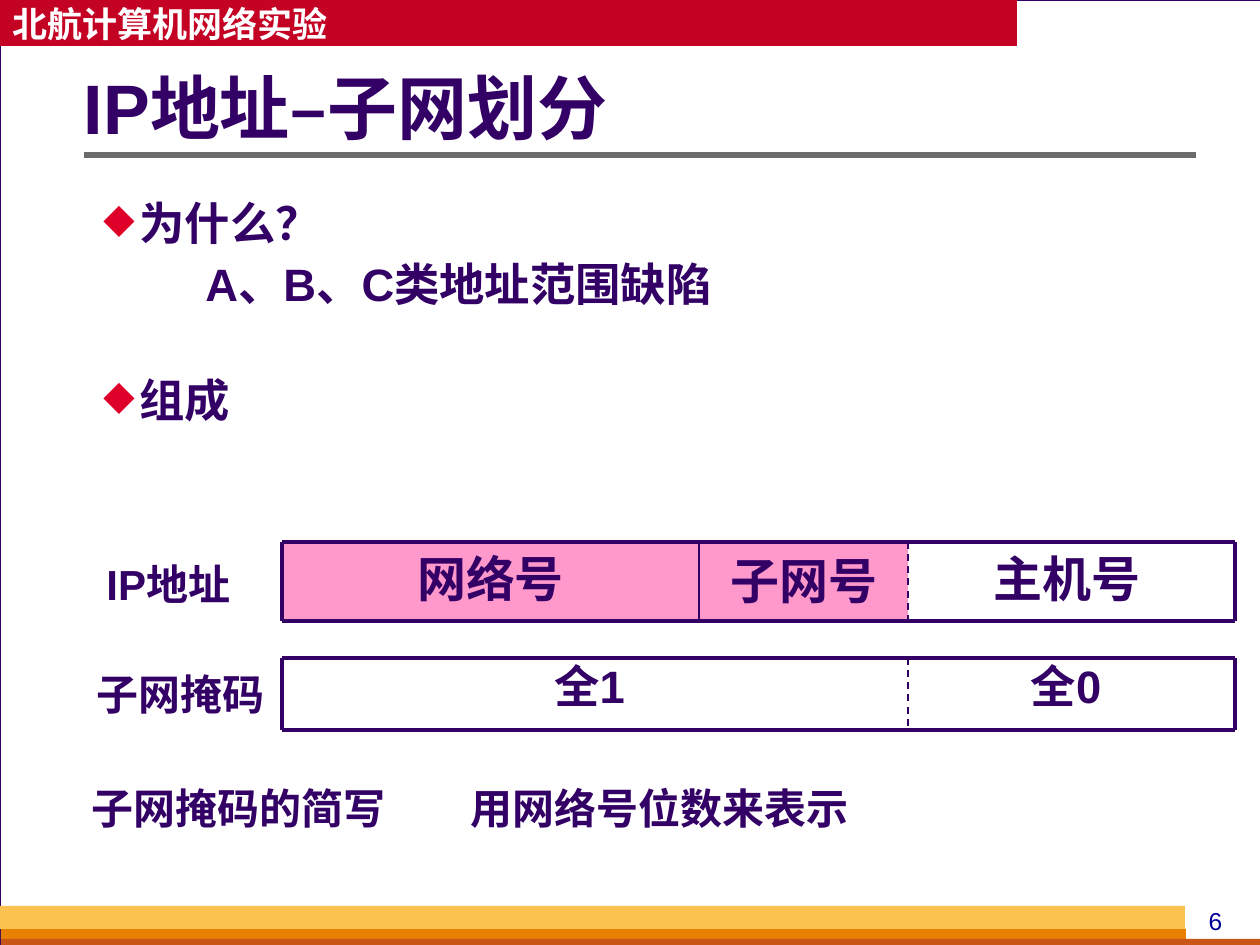
import pptx
import pptx.util
import pptx.dml.color
import pptx.enum.dml
import pptx.enum.shapes
import pptx.enum.text
import pptx.oxml
import pptx.oxml.ns
import lxml.etree


class Theme:
    ink, red, pink, white = "330066", "C30224", "FF99CC", "FFFFFF"
    mark, gray, blue, back = "DF0029", "6B6B6B", "000099", "D8DADA"
    gold, amber, rust = "FCC24F", "E88000", "C95616"
    title, cell, body, label, head, page = 40, 28, 25.9, 24, 20, 14
    latin, asian = "Arial", "Noto Sans CJK SC"


px = 914400 / 126
qn = pptx.oxml.ns.qn
rgb = pptx.dml.color.RGBColor.from_string
align = pptx.enum.text.PP_ALIGN
mid = pptx.enum.text.MSO_ANCHOR.MIDDLE
rect = pptx.enum.shapes.MSO_SHAPE.RECTANGLE
dash = pptx.enum.dml.MSO_LINE.DASH


def emu(*vals):
    return [round(v * px) for v in vals]


def write(para, words, size, color=Theme.ink, bold=True, side=None, lead=None):
    para.alignment = side
    para.line_spacing = lead
    run = para.add_run()
    run.text = words
    font = run.font
    font.size = pptx.util.Pt(size)
    font.bold = bold
    font.color.rgb = rgb(color)
    font.name = Theme.latin
    face = lxml.etree.SubElement(run._r.get_or_add_rPr(), qn("a:ea"))
    face.set("typeface", Theme.asian)


deck = pptx.Presentation()
deck.slide_width, deck.slide_height = emu(1260, 945)
slide = deck.slides.add_slide(deck.slide_layouts[5])
slide.background.fill.solid()
slide.background.fill.fore_color.rgb = rgb(Theme.back)
shapes = slide.shapes

blocks = [
    (0, 0, 1261, 945, Theme.white, "", 0),
    (0, 0, 1017, 46, Theme.red, "北航计算机网络实验", Theme.head),
    (1, 929, 1185, 10, Theme.amber, "", 0),
    (1, 939, 1260, 10, Theme.rust, "", 0),
    (0, 906, 1185, 23, Theme.gold, "", 0),
    (282, 542, 417, 79, Theme.pink, "网络号", Theme.cell),
    (700, 544, 208, 77, Theme.pink, "子网号", Theme.cell),
]
for x, y, w, h, fill, words, size in blocks:
    box = shapes.add_shape(rect, *emu(x, y, w, h))
    box.shadow.inherit = False
    box.fill.solid()
    box.fill.fore_color.rgb = rgb(fill)
    if fill == Theme.white:
        box.line.color.rgb = rgb(Theme.ink)
        box.line.width = pptx.util.Pt(0.75)
    else:
        box.line.fill.background()
    frame = box.text_frame
    para = frame.paragraphs[0]
    if fill == Theme.red:
        frame.word_wrap = False
        frame.vertical_anchor = mid
        write(para, words, size, Theme.white, side=align.LEFT)
    elif words:
        frame.vertical_anchor = pptx.enum.text.MSO_ANCHOR.TOP
        write(para, words, size, side=align.CENTER)

lines = [(84, 155, 1196, 155, Theme.gray, 3, None)]
for top, low in ((542, 621), (658, 730)):
    for y in (top, low):
        lines.append((282, y, 1235, y, Theme.ink, 2.25, None))
    for x in (282, 1235):
        lines.append((x, top, x, low, Theme.ink, 2.25, None))
    lines.append((908, top, 908, low, Theme.ink, 1, dash))
lines.append((699, 542, 699, 621, Theme.ink, 1, None))
for x, y, right, low, color, width, style in lines:
    line = shapes.add_connector(
        pptx.enum.shapes.MSO_CONNECTOR.STRAIGHT, *emu(x, y, right, low))
    line.line.color.rgb = rgb(color)
    line.line.width = pptx.util.Pt(width)
    if style:
        line.line.dash_style = style
    lxml.etree.SubElement(line._element.spPr, qn("a:effectLst"))

texts = [
    (1176, 900, 79, 43, "6", Theme.page, Theme.blue, False, align.CENTER, None),
    (897, 658, 338, 72, "全0", Theme.body, Theme.ink, True, align.CENTER, 0.9),
    (282, 658, 615, 72, "全1", Theme.body, Theme.ink, True, align.CENTER, 0.9),
    (84, 662, 198, 63, "子网掩码", Theme.label, Theme.ink, True, None, None),
    (94, 552, 198, 63, "IP地址", Theme.label, Theme.ink, True, None, None),
    (79, 776, 1047, 63, "子网掩码的简写\t用网络号位数来表示", Theme.label,
     Theme.ink, True, None, None),
    (899, 542, 336, 79, "主机号", Theme.cell, Theme.ink, True, align.CENTER, None),
]
for x, y, w, h, words, *look in texts:
    box = shapes.add_textbox(*emu(x, y, w, h))
    box.text_frame.word_wrap = True
    para = box.text_frame.paragraphs[0]
    if "\t" in words:
        tabs = lxml.etree.SubElement(para._p.get_or_add_pPr(), qn("a:tabLst"))
        stop = lxml.etree.SubElement(tabs, qn("a:tab"))
        stop.set("pos", str(emu(379)[0]))
        stop.set("algn", "l")
    write(para, words, *look)

body = shapes.add_textbox(*emu(67, 195, 1119, 277)).text_frame
body.word_wrap = True
points = [
    ("为什么？", True, 0),
    ("A、B、C类地址范围缺陷", False, 7),
    ("组成", True, 38),
]
for num, (words, mark, gap) in enumerate(points):
    para = body.add_paragraph() if num else body.paragraphs[0]
    props = para._p.get_or_add_pPr()
    left, hang = emu(60, -36) if mark else emu(126, 0)
    props.set("marL", str(left))
    props.set("indent", str(hang))
    if mark:
        tint = lxml.etree.SubElement(props, qn("a:buClr"))
        lxml.etree.SubElement(tint, qn("a:srgbClr")).set("val", Theme.mark)
        lxml.etree.SubElement(props, qn("a:buSzPct")).set("val", "90000")
        lxml.etree.SubElement(props, qn("a:buChar")).set("char", "◆")
    para.space_before = pptx.util.Pt(gap)
    write(para, words, Theme.body, lead=0.9)

title = shapes.title
title.left, title.top, title.width, title.height = emu(84, 58, 1111, 107)
title.text_frame.margin_left = 0
title.text_frame.vertical_anchor = mid
write(title.text_frame.paragraphs[0], "IP地址–子网划分", Theme.title,
      side=align.LEFT, lead=0.9)
shapes._spTree.append(title._element)

deck.save("out.pptx")
